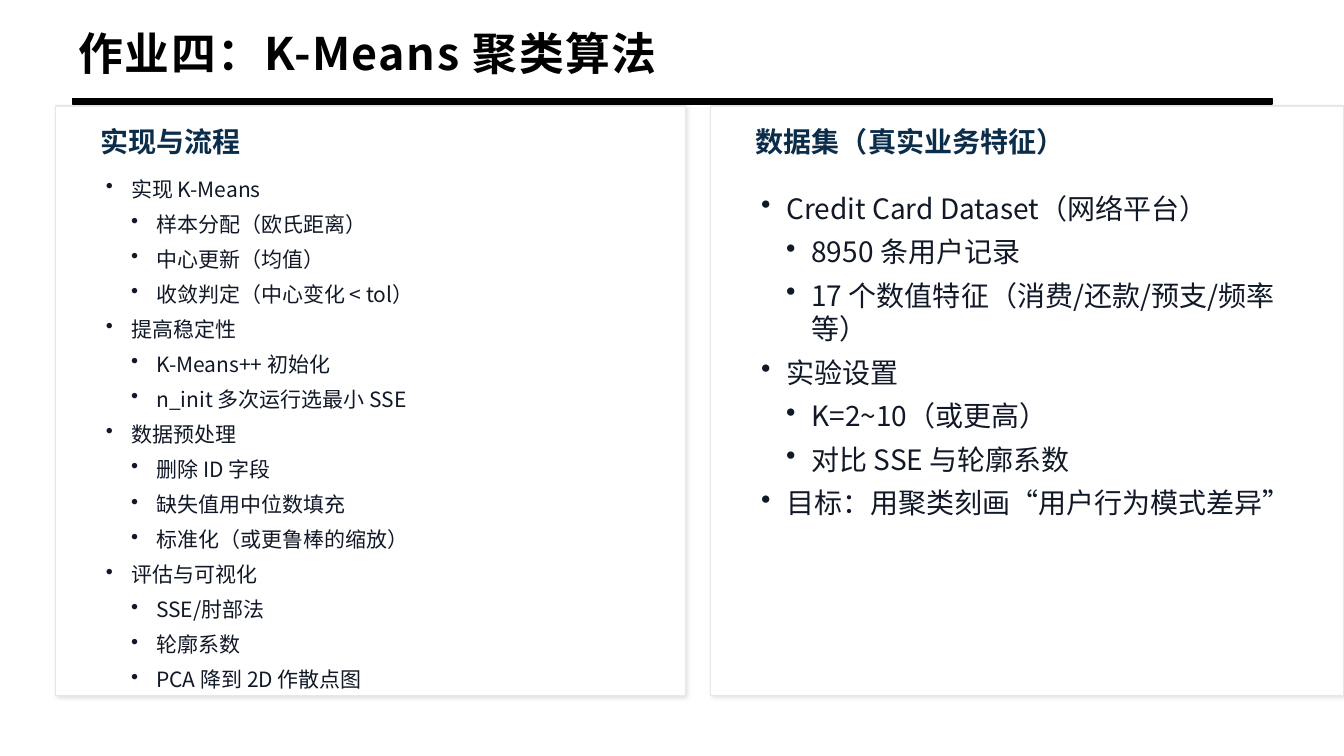
from dataclasses import dataclass

import pptx
import pptx.dml.color
import pptx.enum.shapes
import pptx.enum.text
import pptx.oxml
import pptx.oxml.ns
import pptx.util
from lxml import etree

Cm = pptx.util.Cm
Pt = pptx.util.Pt
qn = pptx.oxml.ns.qn
FONT = "Noto Sans CJK SC"
STEP = Cm(0.635)


@dataclass
class Panel:
    left: float
    width: float
    title: str
    top: float  # top of the list
    size: int
    items: list[tuple[int, str]]  # level, text


PANELS = [
    Panel(1.4, 15.88, "实现与流程", 4.32, 15, [
        (0, "实现 K-Means"),
        (1, "样本分配（欧氏距离）"),
        (1, "中心更新（均值）"),
        (1, "收敛判定（中心变化 < tol）"),
        (0, "提高稳定性"),
        (1, "K-Means++ 初始化"),
        (1, "n_init 多次运行选最小 SSE"),
        (0, "数据预处理"),
        (1, "删除 ID 字段"),
        (1, "缺失值用中位数填充"),
        (1, "标准化（或更鲁棒的缩放）"),
        (0, "评估与可视化"),
        (1, "SSE/肘部法"),
        (1, "轮廓系数"),
        (1, "PCA 降到 2D 作散点图"),
    ]),
    Panel(17.91, 15.95, "数据集（真实业务特征）", 4.7, 20, [
        (0, "Credit Card Dataset（网络平台）"),
        (1, "8950 条用户记录"),
        (1, "17 个数值特征（消费/还款/预支/频率等）"),
        (0, "实验设置"),
        (1, "K=2~10（或更高）"),
        (1, "对比 SSE 与轮廓系数"),
        (0, "目标：用聚类刻画“用户行为模式差异”"),
    ]),
]


def color(code: str) -> pptx.dml.color.RGBColor:
    return pptx.dml.color.RGBColor.from_string(code)


def style(para, size: float, code: str, bold: bool = False) -> None:
    font = para.font
    font.size, font.bold, font.name = Pt(size), bold, FONT
    font.color.rgb = color(code)
    props = para._p.pPr.find(qn("a:defRPr"))
    etree.SubElement(props, qn("a:ea")).set("typeface", FONT)


def frame(slide, left: float, top: float, width: float, height: float):
    box = slide.shapes.add_textbox(Cm(left), Cm(top), Cm(width), Cm(height))
    box.text_frame.word_wrap = True
    return box.text_frame


def head(slide, left: float, top: float, width: float, height: float,
         text: str, size: float, code: str):
    """Add a bold one-line heading and return its paragraph."""
    body = frame(slide, left, top, width, height)
    body.vertical_anchor = pptx.enum.text.MSO_ANCHOR.MIDDLE
    para = body.paragraphs[0]
    para.text = text
    style(para, size, code, True)
    return para


def block(slide, left: float, top: float, width: float, height: float,
          fill: str, line: str):
    kind = pptx.enum.shapes.MSO_SHAPE.RECTANGLE
    shape = slide.shapes.add_shape(
        kind, Cm(left), Cm(top), Cm(width), Cm(height))
    shape.shadow.inherit = False
    shape.fill.solid()
    shape.fill.fore_color.rgb = color(fill)
    shape.line.color.rgb = color(line)
    shape.line.width = Pt(1)
    return shape


def shade(shape) -> None:
    """Give the shape a soft shadow to the lower right."""
    effects = shape._element.spPr.find(qn("a:effectLst"))
    outer = etree.SubElement(
        effects, qn("a:outerShdw"), blurRad=str(Pt(3)), dist=str(Pt(1.5)),
        dir=str(45 * 60000), algn="bl", rotWithShape="0")
    tint = etree.SubElement(outer, qn("a:srgbClr"), val="000000")
    etree.SubElement(tint, qn("a:alpha"), val="12000")


def bullets(slide, panel: Panel) -> None:
    body = frame(slide, panel.left + 1.02, panel.top, 14.6, 12.8)
    for i, (level, text) in enumerate(panel.items):
        para = body.add_paragraph() if i else body.paragraphs[0]
        para.text = text
        para.level = level
        para.space_after = Pt(7)
        props = para._p.get_or_add_pPr()
        props.set("marL", str(STEP * (level + 1)))
        props.set("indent", str(-STEP))
        etree.SubElement(props, qn("a:buChar")).set("char", "•")
        style(para, panel.size, "111827")


def draw(slide, panel: Panel) -> None:
    shade(block(slide, panel.left, 2.67, panel.width, 14.86,
                "FFFFFF", "E5E7EB"))
    head(slide, panel.left + 0.89, 3.18, 14.3, 0.76,
         panel.title, 20, "0B2D4A")
    bullets(slide, panel)


def main() -> None:
    deck = pptx.Presentation()
    deck.slide_width, deck.slide_height = Cm(33.87), Cm(19.05)
    slide = deck.slides.add_slide(deck.slide_layouts[6])
    title = head(slide, 1.73, 0.86, 30.99, 0.91,
                 "作业四：K-Means 聚类算法", 32, "000000")
    title._p.pPr.find(qn("a:defRPr")).set("spc", "110")
    for panel in PANELS:
        draw(slide, panel)
    block(slide, 1.83, 2.49, 30.23, 0.13, "000000", "000000")
    deck.save("out.pptx")


if __name__ == "__main__":
    main()
